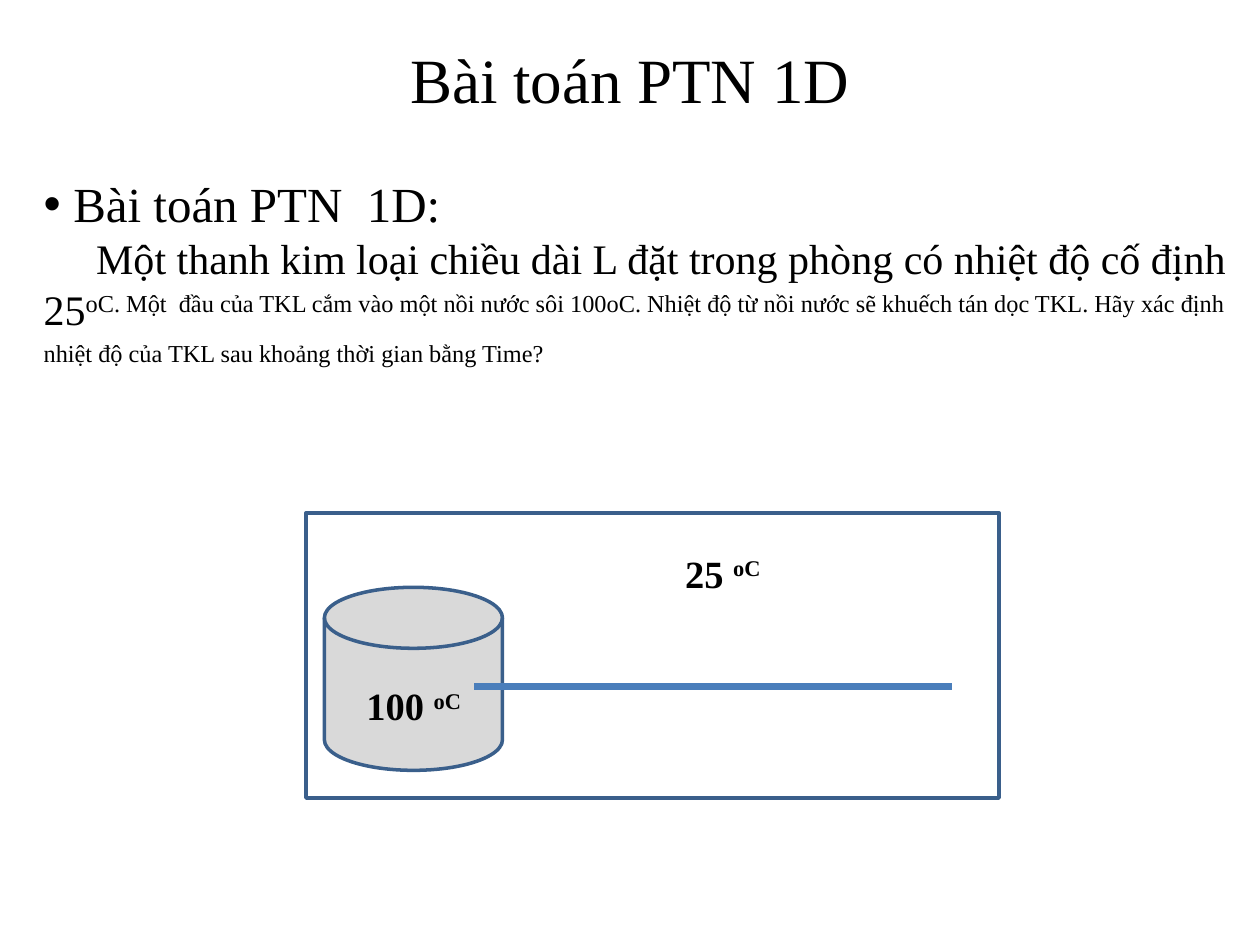
from pptx import Presentation
from pptx.dml.color import RGBColor
from pptx.enum.shapes import MSO_CONNECTOR as CONN, MSO_SHAPE as SHAPE
from pptx.enum.text import MSO_ANCHOR as ANCHOR, PP_ALIGN as ALIGN
from pptx.util import Cm, Pt
from lxml import etree

# Theme
THEME = dict(font="Times New Roman", text="000000", disk="D9D9D9", outline="3A5F8B",
             rod="4A7EBB", title=36, heading=28, body=24, label=22,
             outline_width=2, rod_width=4)

# Content: runs are (text, superscript)
TITLE = [("Bài toán PTN 1D", False)]
HEADING = [("Bài toán PTN  1D:", False)]
PROBLEM = [
    ("Một thanh kim loại chiều dài L đặt trong phòng có nhiệt độ cố định 25", False),
    ("oC. Một  đầu của TKL cắm vào một nồi nước sôi 100oC. Nhiệt độ từ nồi nước sẽ "
     "khuếch tán dọc TKL. Hãy xác định nhiệt độ của TKL sau khoảng thời gian bằng Time?", True),
]
LABELS = [("100 ", (6.93, 13.63, 2.82, 1.17)), ("25 ", (13.16, 10.96, 2.82, 1.17))]
DISK = (6.54, 11.84, 3.59, 3.69)
ROOM = (6.17, 10.34, 13.97, 5.75)
ROD = (9.56, 13.83, 19.2, 13.83)

prs = Presentation()
prs.slide_width, prs.slide_height = Cm(25.4), Cm(19.05)
s = prs.slides.add_slide(prs.slide_layouts[6])


def color(name):
    return RGBColor.from_string(THEME[name])


def cm(values):
    return [Cm(v) for v in values]


def add_text(box, paragraphs, anchor=ANCHOR.TOP):
    """Each paragraph is (runs, size name, bold, paragraph format)."""
    tf = s.shapes.add_textbox(*cm(box)).text_frame
    tf.word_wrap, tf.vertical_anchor = True, anchor
    for i, (runs, size, bold, fmt) in enumerate(paragraphs):
        p = tf.paragraphs[0] if i == 0 else tf.add_paragraph()
        for key, value in fmt.items():
            setattr(p, key, value)
        for text, superscript in runs:
            r = p.add_run()
            r.text = text
            for key, value in dict(name=THEME["font"], size=Pt(THEME[size]), bold=bold).items():
                setattr(r.font, key, value)
            r.font.color.rgb = color("text")
            if superscript:
                r.font._element.set("baseline", "30000")
    return tf


def indent(p, left, first, bullet=None):
    pPr = p._p.get_or_add_pPr()
    pPr.set("marL", str(Cm(left)))
    pPr.set("indent", str(Cm(first)))
    if bullet:
        ns = pPr.nsmap["a"]
        etree.SubElement(pPr, f"{{{ns}}}buFont").set("typeface", "Arial")
        etree.SubElement(pPr, f"{{{ns}}}buChar").set("char", bullet)


def add_outlined(kind, box, fill=None):
    sp = s.shapes.add_shape(kind, *cm(box))
    sp.shadow.inherit = False
    if fill:
        sp.fill.solid()
        sp.fill.fore_color.rgb = color(fill)
    else:
        sp.fill.background()
    sp.line.color.rgb = color("outline")
    sp.line.width = Pt(THEME["outline_width"])


# Title and problem statement
centred = dict(alignment=ALIGN.CENTER)
add_text((1.27, 0.2, 22.86, 2.74), [(TITLE, "title", False, centred)], ANCHOR.MIDDLE)
body = add_text((0.63, 3.38, 24.45, 14.6), [
    (HEADING, "heading", False, dict(space_before=Pt(4.6))),
    (PROBLEM, "body", False, dict(space_before=Pt(0))),
])
heading, problem = body.paragraphs
indent(heading, 0.6, -0.6, "•")
indent(problem, 0, 1.06)

# Pot, rod and room
add_outlined(SHAPE.FLOWCHART_MAGNETIC_DISK, DISK, "disk")
rod = s.shapes.add_connector(CONN.STRAIGHT, *cm(ROD))
rod.line.color.rgb = color("rod")
rod.line.width = Pt(THEME["rod_width"])
spPr = rod._element.spPr
etree.SubElement(spPr, f"{{{spPr.nsmap['a']}}}effectLst")
add_outlined(SHAPE.RECTANGLE, ROOM)

# Temperature labels
for value, box in LABELS:
    add_text(box, [([(value, False), ("oC", True)], "label", True, centred)])

prs.save("out.pptx")
